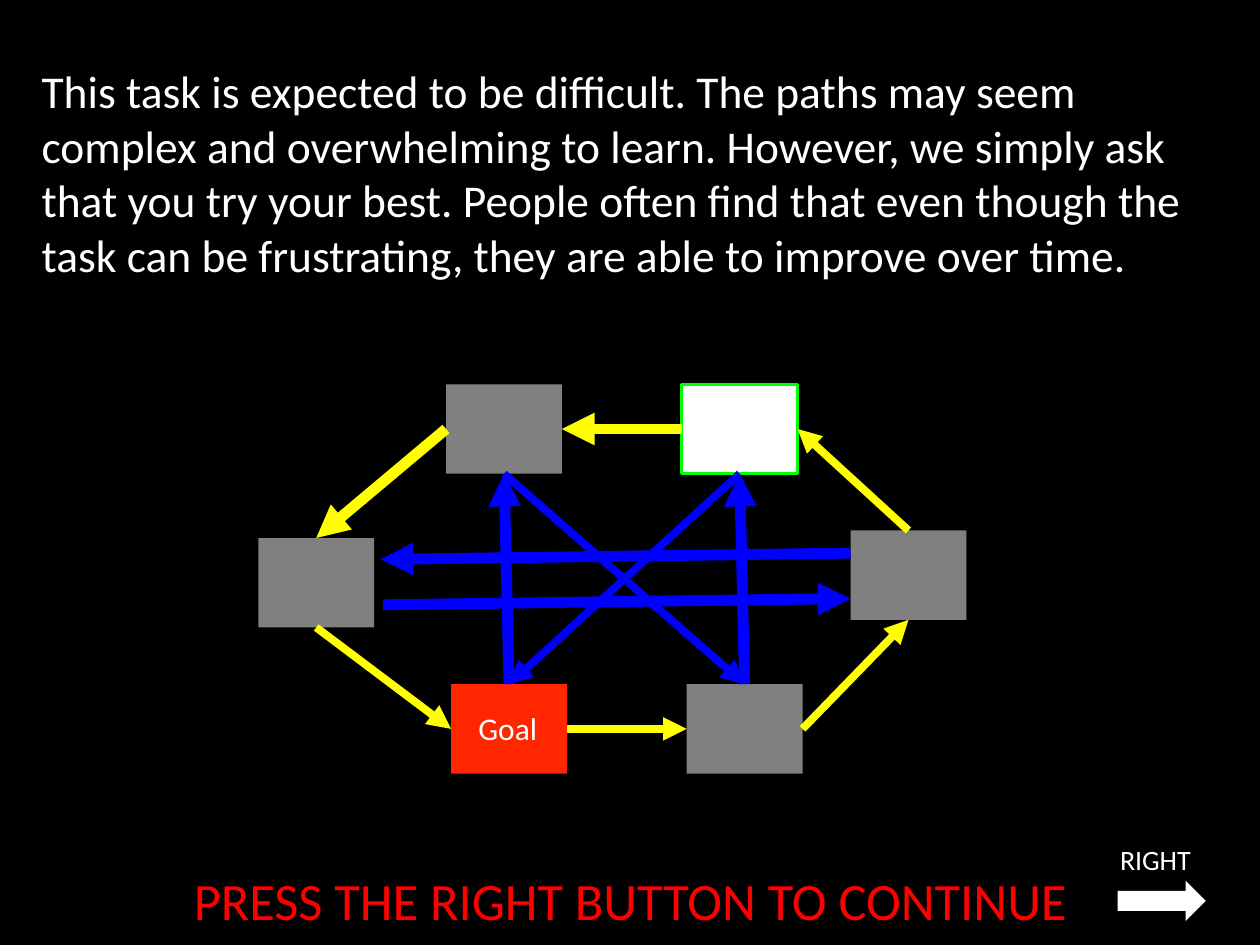
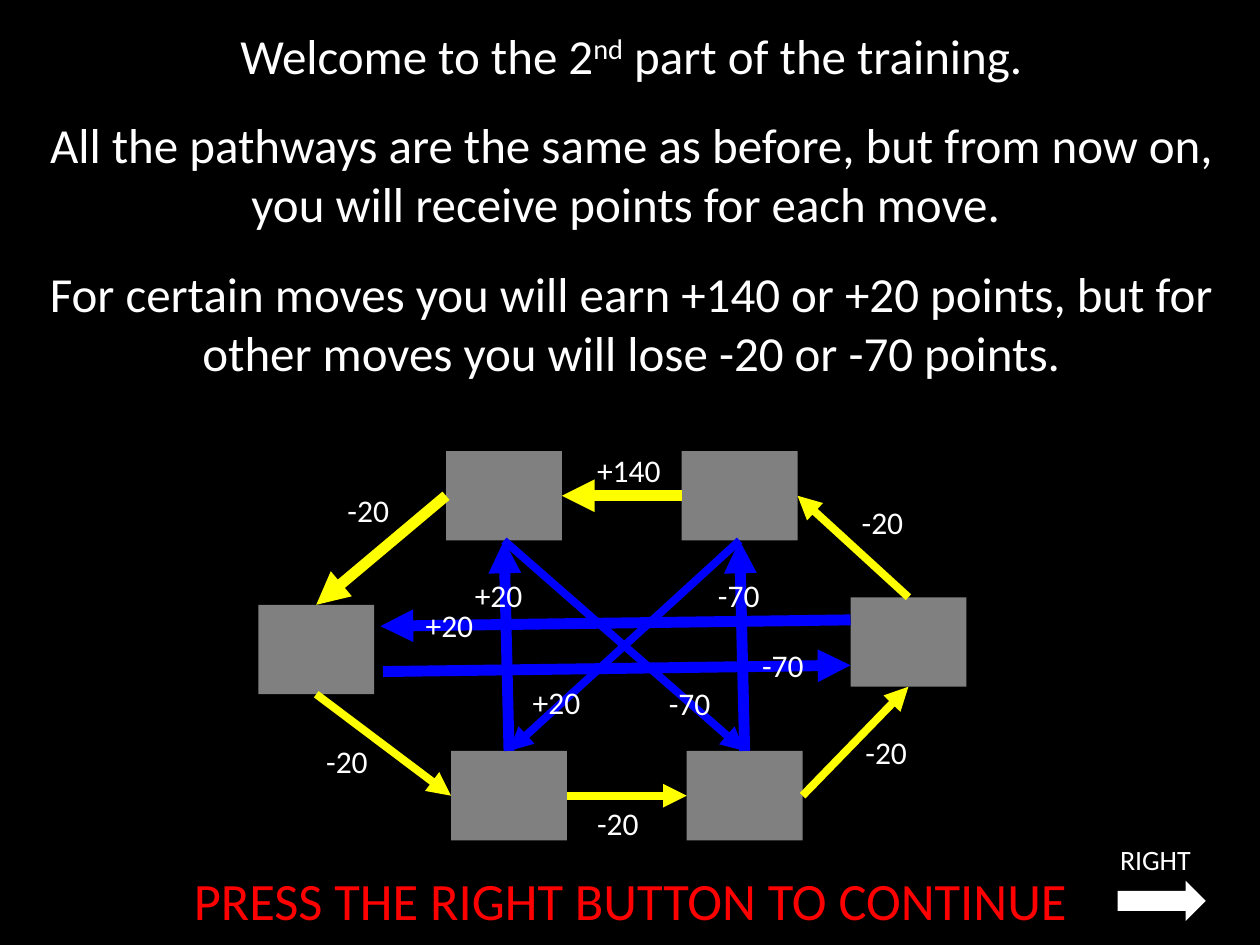
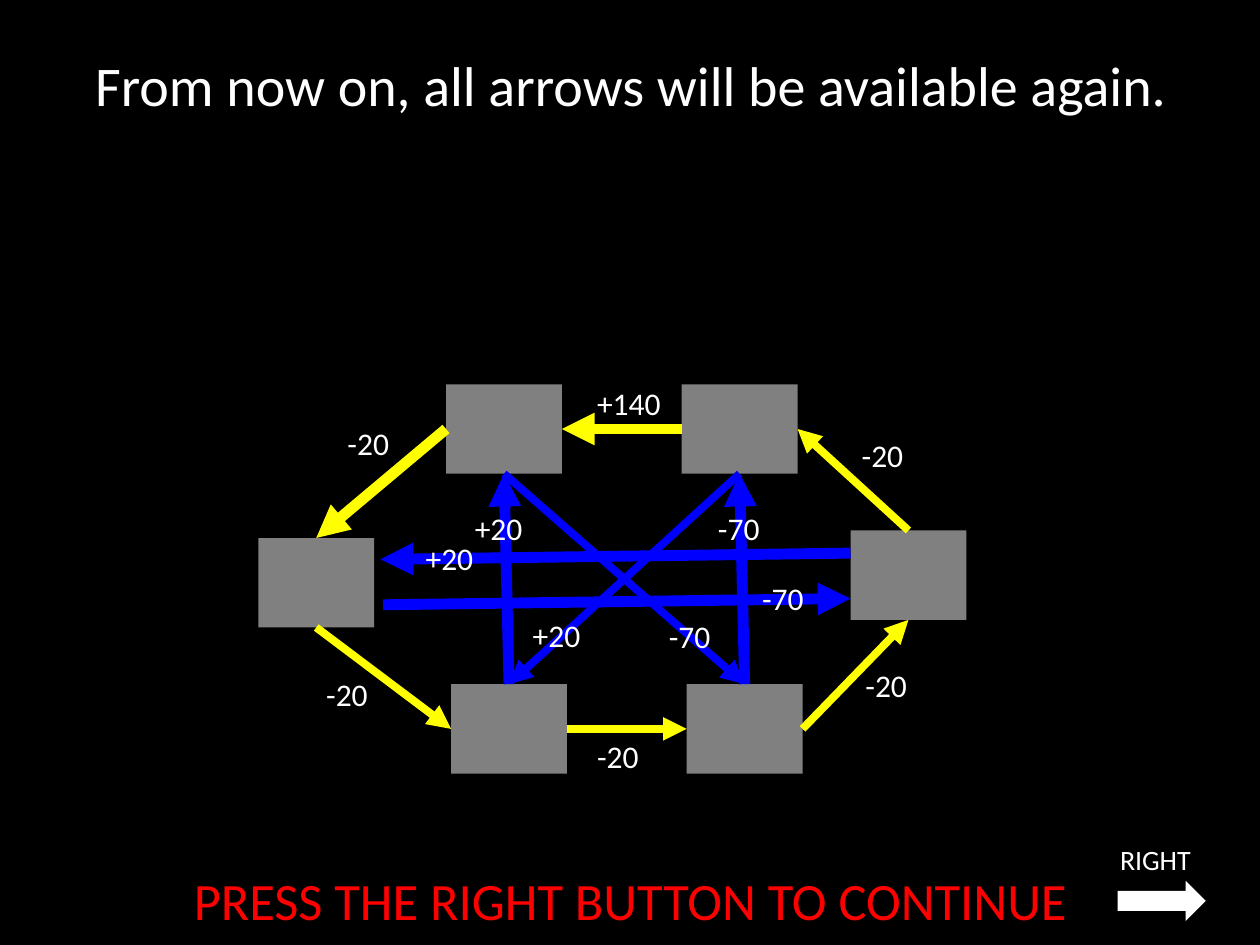
from lxml import etree
from pptx import Presentation
from pptx.dml.color import RGBColor
from pptx.enum.shapes import MSO_CONNECTOR, MSO_SHAPE
from pptx.enum.text import MSO_ANCHOR, MSO_AUTO_SIZE, PP_ALIGN
from pptx.oxml.ns import qn
from pptx.util import Inches, Pt

STRAIGHT = MSO_CONNECTOR.STRAIGHT
RECTANGLE, RIGHT_ARROW = MSO_SHAPE.RECTANGLE, MSO_SHAPE.RIGHT_ARROW
TOP_ANCHOR, MIDDLE_ANCHOR = MSO_ANCHOR.TOP, MSO_ANCHOR.MIDDLE
NO_FIT, GROW = MSO_AUTO_SIZE.NONE, MSO_AUTO_SIZE.SHAPE_TO_FIT_TEXT
LEFT_ALIGN, CENTER = PP_ALIGN.LEFT, PP_ALIGN.CENTER
TOP, LEFT, BOTTOM, RIGHT = range(4)

FONT = "Calibri"
COLORS = {
    "background": "000000", "text": "FFFFFF", "prompt": "FF0000",
    "room": "808080", "goal": "FF2600", "current": "FFFFFF",
    "current border": "00FF00", "ring": "FFFF00", "cross": "0000FF",
}
THICK, THIN = 6.25, 4.5
ROOM_SIZE = (0.92, 0.71)
LABEL_SIZE = (0.73, 0.4)

ROOMS = {
    "top left": (3.54, 3.05), "top right": (5.41, 3.05),
    "right": (6.75, 4.21), "left": (2.05, 4.27),
    "bottom left": (3.58, 5.43), "bottom right": (5.45, 5.43),
}
PATHS = [
    ("top left", LEFT, "left", TOP, "ring", THICK),
    ("left", BOTTOM, "bottom left", LEFT, "ring", THIN),
    ("bottom left", TOP, "top left", BOTTOM, "cross", THICK),
    ("bottom left", RIGHT, "bottom right", LEFT, "ring", THIN),
    ("bottom right", RIGHT, "right", BOTTOM, "ring", THIN),
    ("right", TOP, "top right", RIGHT, "ring", THIN),
    ("top right", LEFT, "top left", RIGHT, "ring", THICK),
    ("top right", BOTTOM, "bottom left", TOP, "cross", THIN),
    ("top left", BOTTOM, "bottom right", TOP, "cross", THIN),
    ("bottom right", TOP, "top right", BOTTOM, "cross", THICK),
]
LONG_PATHS = [((6.75, 4.39), (3.02, 4.44)), ((3.04, 4.8), (6.75, 4.75))]
POINTS = [
    ("+140", 4.64, 3.0), ("-20", 6.74, 3.41), ("-20", 6.77, 5.24),
    ("-20", 4.64, 5.8), ("-20", 2.49, 5.31), ("-20", 2.66, 3.32),
    ("-70", 5.21, 4.85), ("+20", 3.28, 4.23), ("+20", 4.13, 4.84),
    ("+20", 3.67, 3.99), ("-70", 5.95, 4.55), ("-70", 5.6, 3.99),
]
SLIDES = [
    {
        "message": [[
            "This task is expected to be difficult. The paths may seem complex "
            "and overwhelming to learn. However, we simply ask that you try your "
            "best. People often find that even though the task can be "
            "frustrating, they are able to improve over time."]],
        "at": (0.23, 0.45, 9.55, 3.91), "size": 26, "align": LEFT_ALIGN,
        "drop": 0, "points": False, "goal": "bottom left", "current": "top right",
    },
    {
        "message": [
            ["Welcome to the 2", ("nd",), " part of the training."],
            ["All the pathways are the same as before, but from now on, "
             "you will receive points for each move. "],
            ["For certain moves you will earn +140 or +20 points, but for "
             "other moves you will lose -20 or -70 points."]],
        "at": (0.02, 0.15, 9.98, 3.32), "size": 28, "align": CENTER,
        "drop": 0.53, "points": True, "goal": None, "current": None,
    },
    {
        "message": [["From now on, all arrows will be available again."]],
        "at": (0.02, 0.35, 9.98, 5.02), "size": 32, "align": CENTER,
        "drop": 0, "points": True, "goal": None, "current": None,
    },
]


def color(name):
    return RGBColor.from_string(COLORS[name])


def box(*lengths):
    return [Inches(length) for length in lengths]


def add_run(paragraph, text, size, color_name="text"):
    run = paragraph.add_run()
    run.text = text
    formats = {"name": FONT, "size": Pt(size)}
    for attribute, value in formats.items():
        setattr(run.font, attribute, value)
    run.font.color.rgb = color(color_name)
    return run


def add_text(slide, text, at, size, color_name="text", align=CENTER,
             anchor=TOP_ANCHOR, fit=NO_FIT):
    frame = slide.shapes.add_textbox(*box(*at)).text_frame
    formats = {"word_wrap": True, "vertical_anchor": anchor, "auto_size": fit}
    for attribute, value in formats.items():
        setattr(frame, attribute, value)
    paragraph = frame.paragraphs[0]
    paragraph.alignment = align
    add_run(paragraph, text, size, color_name)


def add_filled(slide, preset, at, fill, border=None):
    shape = slide.shapes.add_shape(preset, *box(*at))
    shape.shadow.inherit = False
    shape.fill.solid()
    shape.fill.fore_color.rgb = color(fill)
    if border:
        shape.line.color.rgb = color(border)
        shape.line.width = Pt(2)
    else:
        shape.line.fill.background()
    return shape


def add_arrow(slide, color_name, width, start=(0, 0), end=(0, 0)):
    arrow = slide.shapes.add_connector(STRAIGHT, *box(*start, *end))
    arrow.line.color.rgb = color(color_name)
    arrow.line.width = Pt(width)
    properties = arrow._element.spPr
    etree.SubElement(properties.find(qn("a:ln")), qn("a:tailEnd"), type="triangle")
    etree.SubElement(properties, qn("a:effectLst"))
    return arrow


def add_message(slide, content):
    message = slide.placeholders[1]
    message.left, message.top, message.width, message.height = box(*content["at"])
    frame = message.text_frame
    frame.auto_size = NO_FIT
    size = content["size"]
    for index, parts in enumerate(content["message"]):
        paragraph = frame.add_paragraph() if index else frame.paragraphs[0]
        properties = paragraph._p.get_or_add_pPr()
        properties.set("marL", "0")
        properties.set("indent", "0")
        etree.SubElement(properties, qn("a:buNone"))
        formats = {
            "alignment": content["align"],
            "space_before": Pt(0.2 * size if index else 0),
            "space_after": Pt(12 if len(content["message"]) > 1 else 0),
        }
        for attribute, value in formats.items():
            setattr(paragraph, attribute, value)
        for part in parts:
            raised = isinstance(part, tuple)
            run = add_run(paragraph, part[0] if raised else part, size)
            if raised:
                run._r.get_or_add_rPr().set("baseline", "30000")


def add_prompt(slide):
    add_text(slide, "PRESS THE RIGHT BUTTON TO CONTINUE", (0, 6.78, 10.01, 0.72),
             30, "prompt", anchor=MIDDLE_ANCHOR)
    add_text(slide, "RIGHT", (8.33, 6.64, 1.68, 0.88), 16)
    add_filled(slide, RIGHT_ARROW, (8.87, 6.99, 0.7, 0.32), "text")


def add_map(slide, content):
    drop = content["drop"]
    rooms = {}
    for name, (x, y) in ROOMS.items():
        fill, border = "room", None
        if name == content["goal"]:
            fill = "goal"
        elif name == content["current"]:
            fill, border = "current", "current border"
        rooms[name] = add_filled(slide, RECTANGLE, (x, y + drop, *ROOM_SIZE), fill, border)
    for origin, exit_side, target, entry_side, color_name, width in PATHS:
        arrow = add_arrow(slide, color_name, width)
        arrow.begin_connect(rooms[origin], exit_side)
        arrow.end_connect(rooms[target], entry_side)
    for (x1, y1), (x2, y2) in LONG_PATHS:
        add_arrow(slide, "cross", THICK, (x1, y1 + drop), (x2, y2 + drop))
    if content["goal"]:
        x, y = ROOMS[content["goal"]]
        add_text(slide, "Goal", (x, y + 0.15, 0.9, 0.4), 18, fit=GROW)
    if content["points"]:
        for text, x, y in POINTS:
            add_text(slide, text, (x, y + drop, *LABEL_SIZE), 18,
                     align=LEFT_ALIGN, fit=GROW)


def main():
    deck = Presentation()
    deck.slide_width, deck.slide_height = box(10, 7.5)
    background = deck.slide_master.background.fill
    background.solid()
    background.fore_color.rgb = color("background")
    for content in SLIDES:
        slide = deck.slides.add_slide(deck.slide_layouts[1])
        unused_title = slide.shapes.title._element
        unused_title.getparent().remove(unused_title)
        add_message(slide, content)
        add_prompt(slide)
        add_map(slide, content)
    deck.save("out.pptx")


if __name__ == "__main__":
    main()
